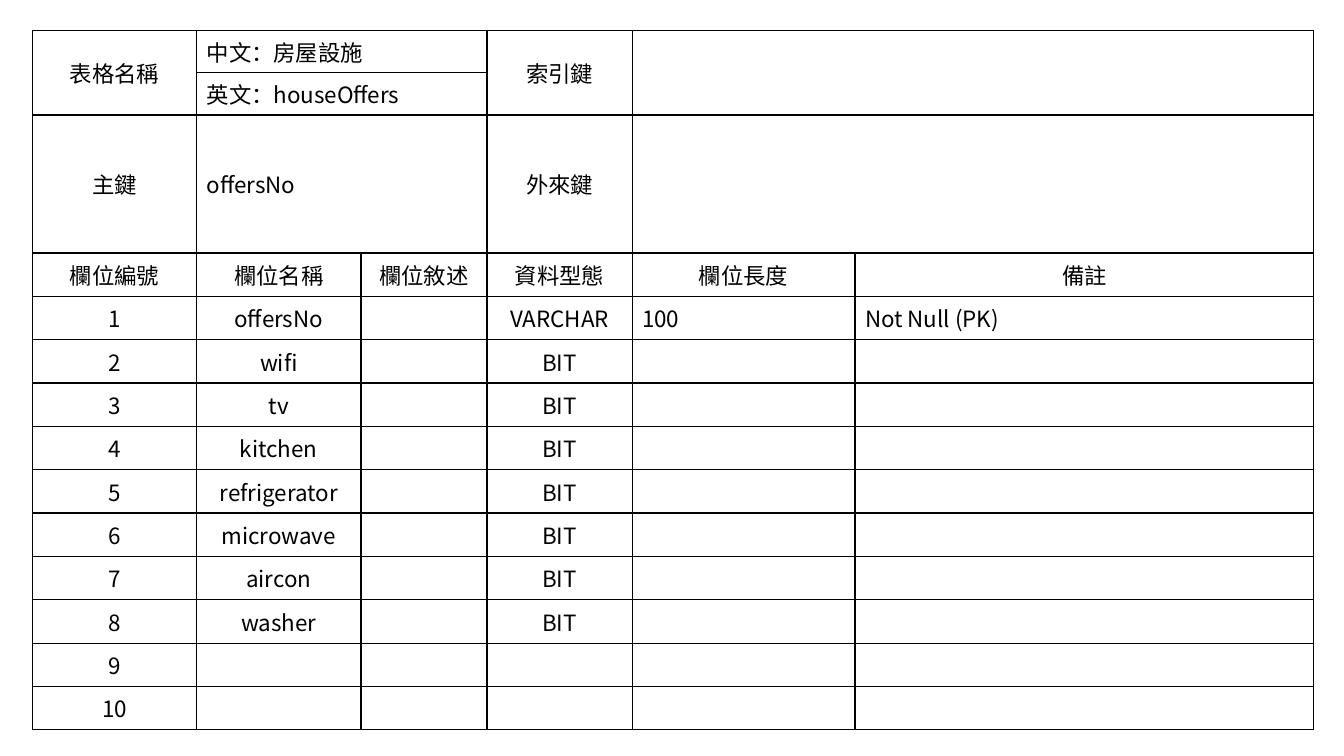
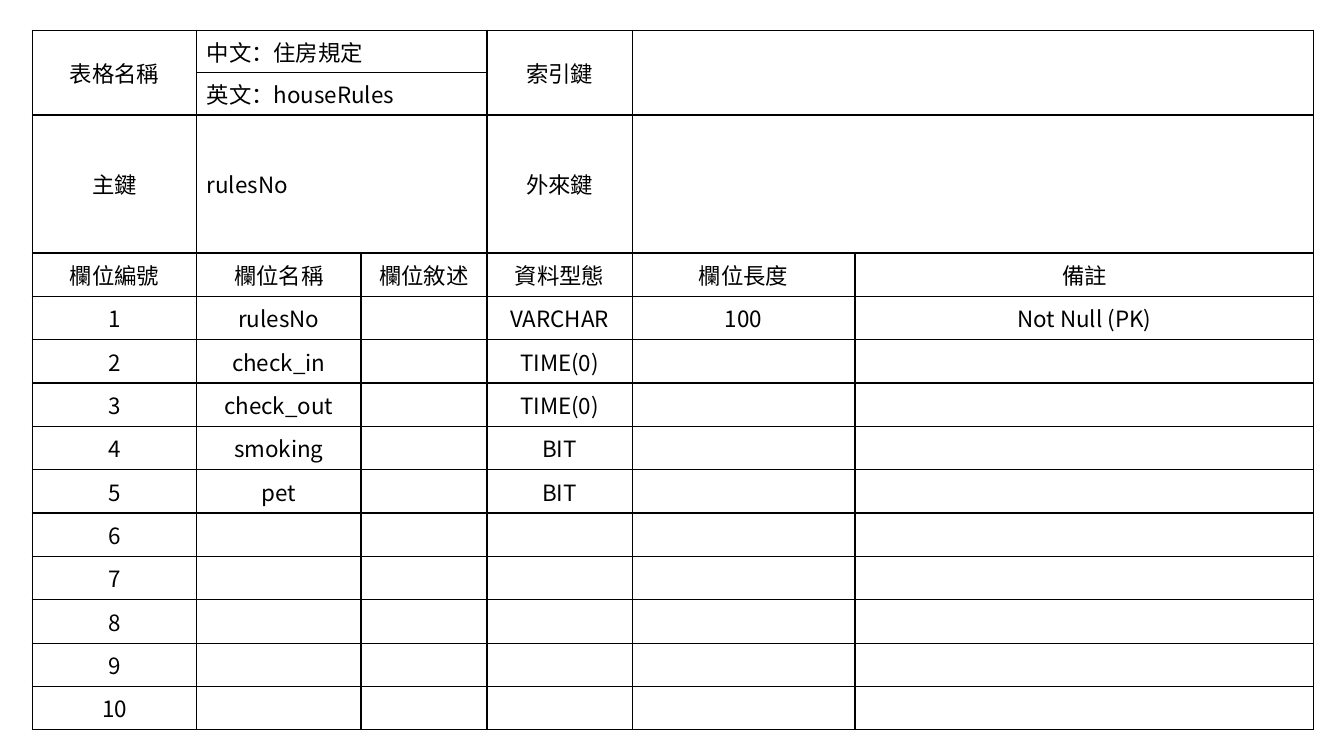
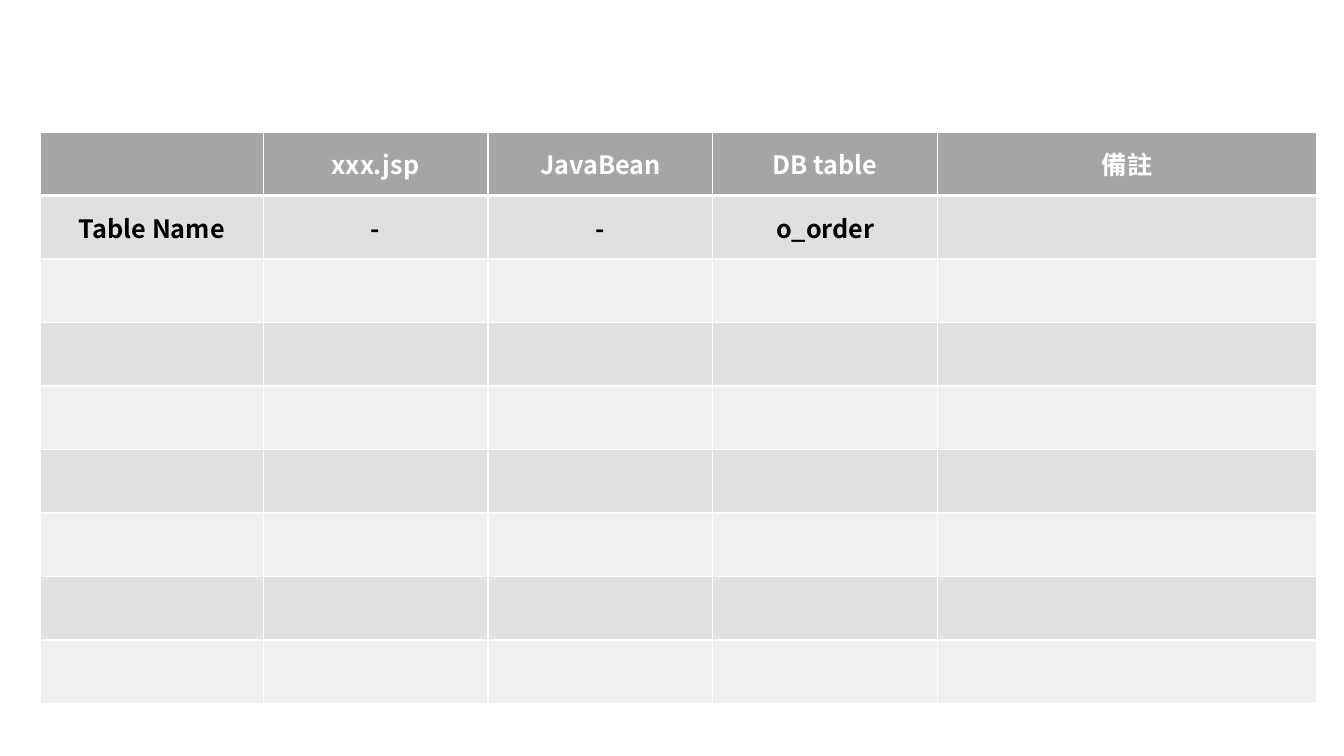
from dataclasses import dataclass

from lxml.etree import SubElement
from pptx import Presentation
from pptx.dml.color import RGBColor
from pptx.enum.text import MSO_ANCHOR as Anchor, PP_ALIGN as Align
from pptx.oxml.ns import qn
from pptx.presentation import Presentation as Deck
from pptx.util import Pt

PX = 9144
FONT = "Noto Sans CJK TC"
COLORS = {
    "white": "FFFFFF",
    "black": "000000",
    "header": "A5A5A5",
    "band_dark": "E0E0E0",
    "band_light": "F0F0F0",
}
BLANK_LAYOUT = 6
FIELD_COUNT = 10
NAME_SPANS = [(0, 0, 1, 0), (0, 1, 0, 2), (0, 3, 1, 3), (0, 4, 1, 5),
              (1, 1, 1, 2), (2, 1, 2, 2), (2, 4, 2, 5)]
SCHEMA_COLUMNS = [163, 163, 125, 144, 221, 455]
SCHEMA_ROWS = [42, 42, 137] + [43] * (FIELD_COUNT + 1)
MAPPING_COLUMNS = [221, 223, 223, 223, 376]
MAPPING_ROWS = [63] * 9


@dataclass(frozen=True)
class CellStyle:
    fill: str
    text: str
    border: str
    size: int
    bold: bool = False
    align: Align = Align.CENTER
    top: int = 1
    bottom: int = 1


@dataclass(frozen=True)
class Schema:
    chinese: str
    english: str
    fields: list[tuple[str, str]]
    note_align: Align


@dataclass(frozen=True)
class Grid:
    left: int
    top: int
    columns: list[int]
    rows: list[int]
    texts: dict[tuple[int, int], str]
    styles: dict[tuple[int, int], CellStyle]
    spans: list[tuple[int, int, int, int]]


CENTERED = CellStyle("white", "black", "black", 16)
LEFT = CellStyle("white", "black", "black", 16, align=Align.LEFT)
HEADER = CellStyle("header", "white", "white", 18, bold=True, bottom=3)
FIRST_BAND = CellStyle("band_dark", "black", "white", 18, bold=True, top=3)
DARK_BAND = CellStyle("band_dark", "black", "white", 18, bold=True)
LIGHT_BAND = CellStyle("band_light", "black", "white", 18, bold=True)

SCHEMAS = [
    Schema("房屋設施", "houseOffers",
           [("offersNo", "VARCHAR")]
           + [(name, "BIT") for name in ("wifi", "tv", "kitchen", "refrigerator",
                                         "microwave", "aircon", "washer")],
           Align.LEFT),
    Schema("住房規定", "houseRules",
           [("rulesNo", "VARCHAR"), ("check_in", "TIME(0)"), ("check_out", "TIME(0)"),
            ("smoking", "BIT"), ("pet", "BIT")],
           Align.CENTER),
]


def rgb(name: str) -> RGBColor:
    return RGBColor.from_string(COLORS[name])


def add_borders(cell, style: CellStyle) -> None:
    properties = cell._tc.get_or_add_tcPr()
    widths = {"a:lnL": 1, "a:lnR": 1, "a:lnT": style.top, "a:lnB": style.bottom}
    for tag, width in widths.items():
        line = SubElement(properties, qn(tag), w=str(Pt(width)))
        fill = SubElement(line, qn("a:solidFill"))
        SubElement(fill, qn("a:srgbClr"), val=COLORS[style.border])


def format_cell(cell, text: str, style: CellStyle) -> None:
    add_borders(cell, style)
    cell.fill.solid()
    cell.fill.fore_color.rgb = rgb(style.fill)
    cell.vertical_anchor = Anchor.MIDDLE
    paragraph = cell.text_frame.paragraphs[0]
    paragraph.alignment = style.align
    if not text:
        ending = SubElement(paragraph._p, qn("a:endParaRPr"), sz=str(style.size * 100))
        for tag in ("a:latin", "a:ea"):
            SubElement(ending, qn(tag), typeface=FONT)
        return
    run = paragraph.add_run()
    run.text = text
    run.font.size = Pt(style.size)
    run.font.bold = style.bold
    run.font.name = FONT
    run.font.color.rgb = rgb(style.text)
    SubElement(run.font._element, qn("a:ea"), typeface=FONT)


def add_grid_slide(presentation: Deck, grid: Grid) -> None:
    slide = presentation.slides.add_slide(presentation.slide_layouts[BLANK_LAYOUT])
    table = slide.shapes.add_table(
        len(grid.rows), len(grid.columns), grid.left * PX, grid.top * PX,
        sum(grid.columns) * PX, sum(grid.rows) * PX).table
    table.first_row = False
    table.horz_banding = False
    for column, width in zip(table.columns, grid.columns):
        column.width = width * PX
    for row, height in zip(table.rows, grid.rows):
        row.height = height * PX
    for (row, column), style in grid.styles.items():
        format_cell(table.cell(row, column), grid.texts.get((row, column), ""), style)
    for top, left, bottom, right in grid.spans:
        table.cell(top, left).merge(table.cell(bottom, right))


def schema_grid(schema: Schema) -> Grid:
    key = schema.fields[0][0]
    rows = [
        ["表格名稱", f"中文：{schema.chinese}", "", "索引鍵"],
        ["", f"英文：{schema.english}"],
        ["主鍵", key, "", "外來鍵"],
        ["欄位編號", "欄位名稱", "欄位敘述", "資料型態", "欄位長度", "備註"],
    ]
    first_field = len(rows)
    for index in range(FIELD_COUNT):
        name, kind = schema.fields[index] if index < len(schema.fields) else ("", "")
        rows.append([str(index + 1), name, "", kind])
    rows[first_field] += ["100", "Not Null (PK)"]
    styles = {(row, column): CENTERED for row in range(len(SCHEMA_ROWS))
              for column in range(len(SCHEMA_COLUMNS))}
    styles.update({(row, 1): LEFT for row in range(3)})
    if schema.note_align == Align.LEFT:
        styles.update({(first_field, column): LEFT for column in (4, 5)})
    return Grid(32, 30, SCHEMA_COLUMNS, SCHEMA_ROWS, index_texts(rows), styles, NAME_SPANS)


def mapping_grid() -> Grid:
    rows = [["", "xxx.jsp", "JavaBean", "DB table", "備註"],
            ["Table Name", "-", "-", "o_order"]]
    bands = [HEADER, FIRST_BAND] + [LIGHT_BAND, DARK_BAND] * 4
    styles = {(row, column): bands[row] for row in range(len(MAPPING_ROWS))
              for column in range(len(MAPPING_COLUMNS))}
    return Grid(40, 131, MAPPING_COLUMNS, MAPPING_ROWS, index_texts(rows), styles, [])


def index_texts(rows: list[list[str]]) -> dict[tuple[int, int], str]:
    return {(row, column): text for row, texts in enumerate(rows)
            for column, text in enumerate(texts)}


def main() -> None:
    presentation = Presentation()
    presentation.slide_width = 1333 * PX
    presentation.slide_height = 750 * PX
    for grid in [*map(schema_grid, SCHEMAS), mapping_grid()]:
        add_grid_slide(presentation, grid)
    presentation.save("out.pptx")


if __name__ == "__main__":
    main()
